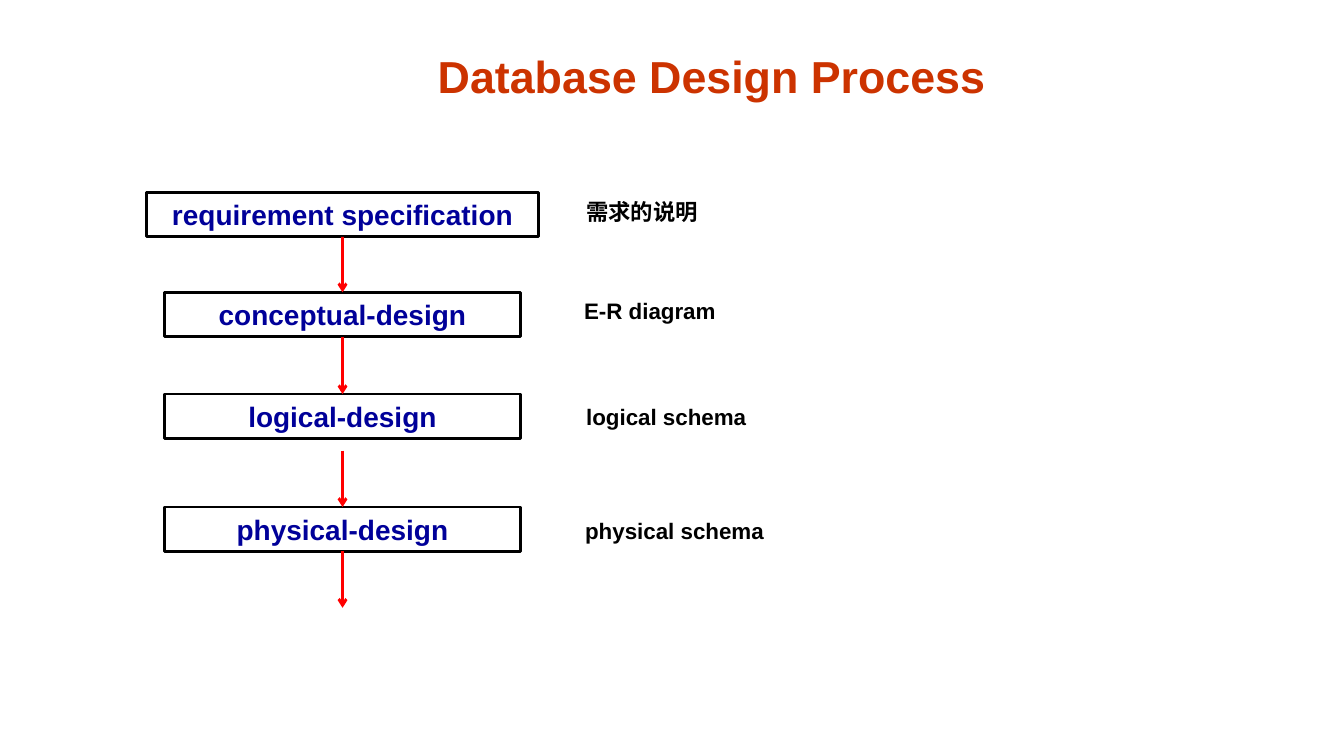
from typing import NamedTuple

from lxml.etree import SubElement
from pptx import Presentation
from pptx.dml.color import RGBColor
from pptx.enum.shapes import MSO_CONNECTOR, MSO_SHAPE
from pptx.enum.text import MSO_ANCHOR, PP_ALIGN
from pptx.oxml.ns import qn
from pptx.shapes.autoshape import Shape
from pptx.shapes.connector import Connector
from pptx.slide import Slide
from pptx.util import Inches, Pt

MID = 3.4  # centre line of the flow
BOX_H = 0.44
GAP = 0.56  # length of a free arrow


class Stage(NamedTuple):
    name: str
    top: float
    width: float
    note: str
    note_x: float
    note_y: float
    note_w: float = 2.14


STAGES = [
    Stage("requirement specification", 1.91, 3.89, "需求的说明", 5.72, 1.91, 4.07),
    Stage("conceptual-design", 2.9, 3.53, "E-R diagram", 5.7, 2.9),
    Stage("logical-design", 3.91, 3.53, "logical schema", 5.72, 3.95),
    Stage("physical-design", 5.03, 3.53, "physical schema", 5.71, 5.08),
]


def color(code: str) -> RGBColor:
    return RGBColor.from_string(code)


def write(shape: Shape, text: str, size: int, ink: str, align: PP_ALIGN,
          anchor: MSO_ANCHOR = MSO_ANCHOR.MIDDLE) -> None:
    frame = shape.text_frame
    frame.text = text
    frame.word_wrap = True
    frame.vertical_anchor = anchor
    para = frame.paragraphs[0]
    para.alignment = align
    font = para.runs[0].font
    font.name, font.size, font.bold = "Arial", Pt(size), True
    font.color.rgb = color(ink)


def add_label(slide: Slide, left: float, top: float, width: float, height: float) -> Shape:
    return slide.shapes.add_textbox(Inches(left), Inches(top), Inches(width), Inches(height))


def add_box(slide: Slide, stage: Stage) -> Shape:
    box = slide.shapes.add_shape(
        MSO_SHAPE.RECTANGLE, Inches(MID - stage.width / 2), Inches(stage.top),
        Inches(stage.width), Inches(BOX_H))
    box.shadow.inherit = False
    box.fill.background()
    box.line.color.rgb = color("000000")
    box.line.width = Pt(2)
    write(box, stage.name, 20, "000099", PP_ALIGN.CENTER)
    return box


def add_arrow(slide: Slide, top: float, end: float) -> Connector:
    arrow = slide.shapes.add_connector(
        MSO_CONNECTOR.STRAIGHT, Inches(MID), Inches(top), Inches(MID), Inches(end))
    arrow.line.color.rgb = color("FF0000")
    arrow.line.width = Pt(2)
    SubElement(arrow.line._get_or_add_ln(), qn("a:tailEnd"), type="arrow")
    SubElement(arrow._element.spPr, qn("a:effectLst"))
    return arrow


def main() -> None:
    deck = Presentation()
    deck.slide_width, deck.slide_height = Inches(13.34), Inches(7.5)
    slide = deck.slides.add_slide(deck.slide_layouts[6])

    # Title
    title = add_label(slide, 3.04, 0.4, 8.05, 0.67)
    write(title, "Database Design Process", 32, "CC3300", PP_ALIGN.CENTER, MSO_ANCHOR.BOTTOM)

    # Stages with their results
    boxes = []
    for stage in STAGES:
        boxes.append(add_box(slide, stage))
        note = add_label(slide, stage.note_x, stage.note_y, stage.note_w, 0.37)
        write(note, stage.note, 16, "000000", PP_ALIGN.LEFT)

    # Arrows into each next stage; the last one starts below its box
    for i, stage in enumerate(STAGES[1:], 1):
        arrow = add_arrow(slide, stage.top - GAP, stage.top)
        if stage is not STAGES[-1]:
            arrow.begin_connect(boxes[i - 1], 2)
        arrow.end_connect(boxes[i], 0)

    # Arrow out of the last stage
    base = STAGES[-1].top + BOX_H
    add_arrow(slide, base, base + GAP).begin_connect(boxes[-1], 2)

    deck.save("out.pptx")


if __name__ == "__main__":
    main()
